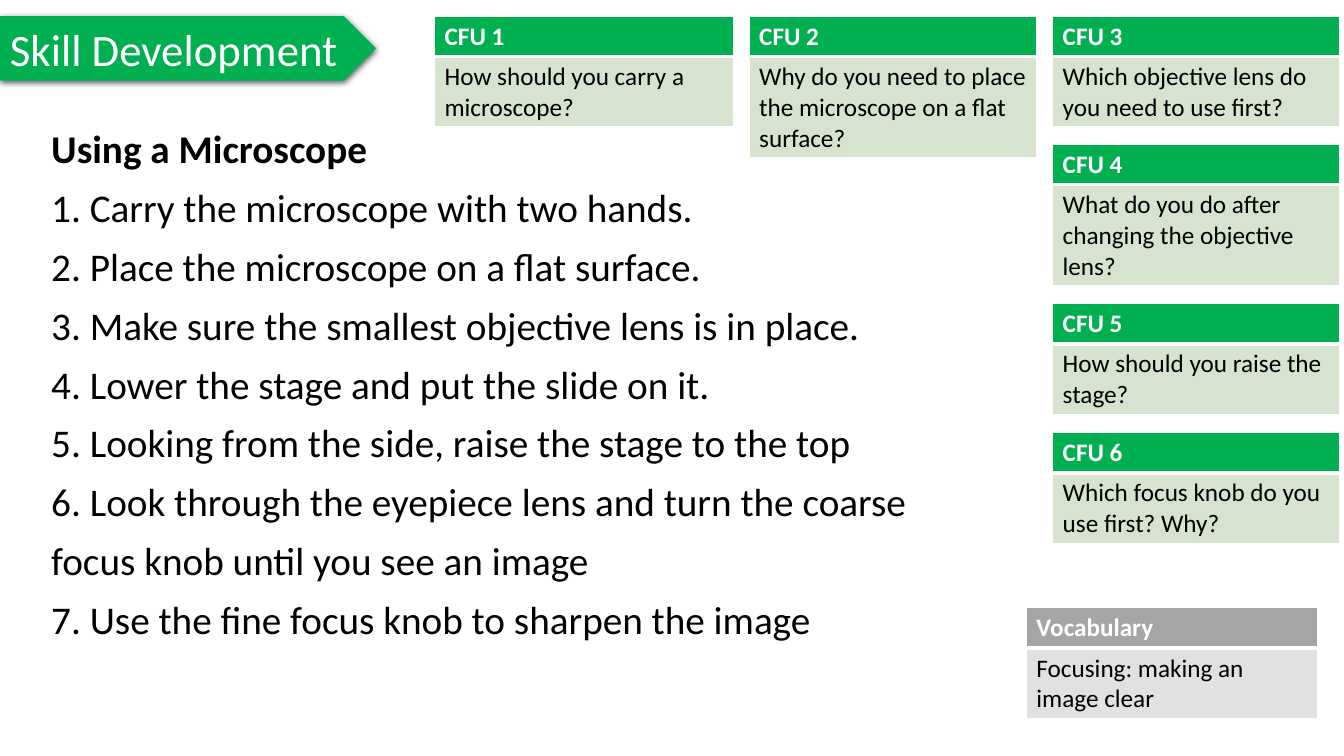
import pptx
import pptx.dml.color
import pptx.enum.shapes
import pptx.enum.text
import pptx.oxml
import pptx.oxml.ns
import pptx.util
from pptx.util import Inches

RGBColor = pptx.dml.color.RGBColor
GREEN = RGBColor(0x00, 0xB0, 0x50)
PALE_GREEN = RGBColor(0xD5, 0xE3, 0xCF)
GRAY = RGBColor(0xA5, 0xA5, 0xA5)
PALE_GRAY = RGBColor(0xE1, 0xE1, 0xE1)
WHITE = RGBColor(0xFF, 0xFF, 0xFF)
BLACK = RGBColor(0x00, 0x00, 0x00)
FONT = "Calibri"

STEPS = [
    "Carry the microscope with two hands.",
    "Place the microscope on a flat surface.",
    "Make sure the smallest objective lens is in place.",
    "Lower the stage and put the slide on it.",
    "Looking from the side, raise the stage to the top",
    "Look through the eyepiece lens and turn the coarse focus knob until you see an image",
    "Use the fine focus knob to sharpen the image",
]

# Left, top, width, question
QUESTIONS = [
    (4.31, 0.16, 2.97, "How should you carry a microscope?"),
    (7.43, 0.16, 2.85, "Why do you need to place the microscope on a flat surface?"),
    (10.44, 0.16, 2.85, "Which objective lens do you need to use first?"),
    (10.44, 1.43, 2.85, "What do you do after changing the objective lens?"),
    (10.44, 3.01, 2.85, "How should you raise the stage?"),
    (10.44, 4.29, 2.85, "Which focus knob do you use first? Why?"),
]


def set_font(paragraph, size, color, bold=False):
    font = paragraph.font
    font.name = FONT
    font.size = pptx.util.Pt(size)
    font.bold = bold
    font.color.rgb = color


def add_shadow(shape):
    effects = pptx.oxml.parse_xml(
        f'<a:effectLst {pptx.oxml.ns.nsdecls("a")}>'
        '<a:outerShdw blurRad="57150" dist="19050" dir="5400000" algn="ctr" rotWithShape="0">'
        '<a:srgbClr val="000000"><a:alpha val="63000"/></a:srgbClr>'
        '</a:outerShdw></a:effectLst>')
    shape.shadow.inherit = False
    properties = shape.element.spPr
    properties.replace(properties.find(pptx.oxml.ns.qn("a:effectLst")), effects)


def add_banner(slide, text):
    shape = slide.shapes.add_shape(
        pptx.enum.shapes.MSO_SHAPE.PENTAGON,
        Inches(0), Inches(0.16), Inches(3.73), Inches(0.64))
    shape.fill.solid()
    shape.fill.fore_color.rgb = GREEN
    shape.line.fill.background()
    add_shadow(shape)
    frame = shape.text_frame
    frame.word_wrap = False
    frame.auto_size = pptx.enum.text.MSO_AUTO_SIZE.SHAPE_TO_FIT_TEXT
    paragraph = frame.paragraphs[0]
    paragraph.text = text
    paragraph.alignment = pptx.enum.text.PP_ALIGN.LEFT
    set_font(paragraph, 32, WHITE)


def add_steps(slide, heading, steps):
    box = slide.shapes.add_textbox(Inches(0.41), Inches(1.07), Inches(9.22), Inches(4.05))
    frame = box.text_frame
    frame.word_wrap = True
    lines = [heading] + [f"{number}. {step}" for number, step in enumerate(steps, 1)]
    for index, line in enumerate(lines):
        paragraph = frame.add_paragraph() if index else frame.paragraphs[0]
        paragraph.text = line
        paragraph.line_spacing = 1.25
        set_font(paragraph, 28, BLACK, bold=index == 0)


def set_borders(cell, bottom_width):
    properties = cell._tc.get_or_add_tcPr()
    widths = {"lnL": 1, "lnR": 1, "lnT": 1, "lnB": bottom_width}
    for index, (side, width) in enumerate(widths.items()):
        properties.insert(index, pptx.oxml.parse_xml(
            f'<a:{side} {pptx.oxml.ns.nsdecls("a")} w="{pptx.util.Pt(width)}">'
            f'<a:solidFill><a:srgbClr val="{WHITE}"/></a:solidFill></a:{side}>'))


def add_card(slide, left, top, width, title, body, title_fill, body_fill):
    table = slide.shapes.add_table(
        2, 1, Inches(left), Inches(top), Inches(width), Inches(0.8)).table
    table.rows[0].height = Inches(0.39)
    table.rows[1].height = Inches(0.41)
    rows = [(title, title_fill, WHITE, True, 3), (body, body_fill, BLACK, False, 1)]
    for index, (text, fill, color, bold, bottom_width) in enumerate(rows):
        cell = table.cell(index, 0)
        cell.fill.solid()
        cell.fill.fore_color.rgb = fill
        set_borders(cell, bottom_width)
        cell.text = text
        set_font(cell.text_frame.paragraphs[0], 18, color, bold)


def main():
    presentation = pptx.Presentation()
    presentation.slide_width = Inches(13.33)
    presentation.slide_height = Inches(7.5)
    slide = presentation.slides.add_slide(presentation.slide_layouts[6])

    # Lesson heading and steps
    add_banner(slide, "Skill Development")
    add_steps(slide, "Using a Microscope", STEPS)

    # Check-for-understanding cards
    for number, (left, top, width, question) in enumerate(QUESTIONS, 1):
        add_card(slide, left, top, width, f"CFU {number}", question, GREEN, PALE_GREEN)

    # Vocabulary card
    add_card(slide, 10.18, 6.03, 2.89, "Vocabulary",
             "Focusing: making an image clear", GRAY, PALE_GRAY)

    presentation.save("out.pptx")


if __name__ == "__main__":
    main()
